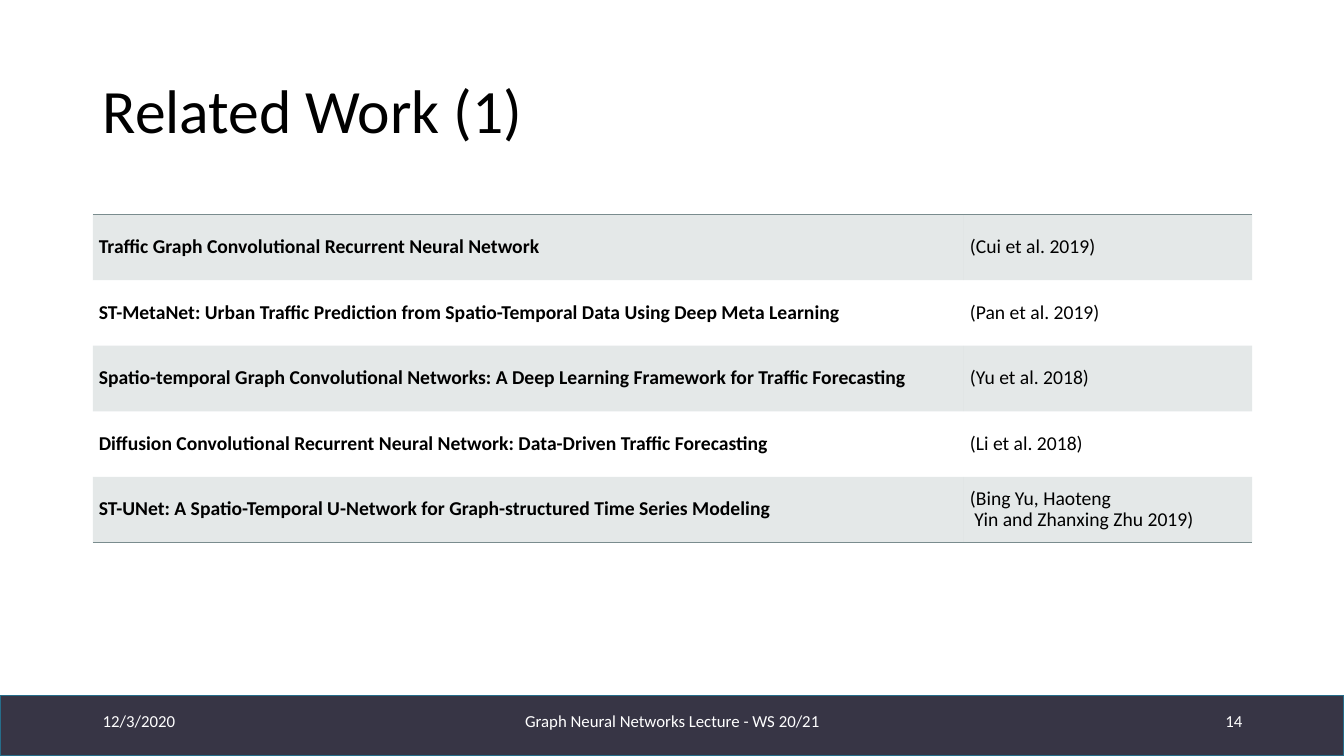
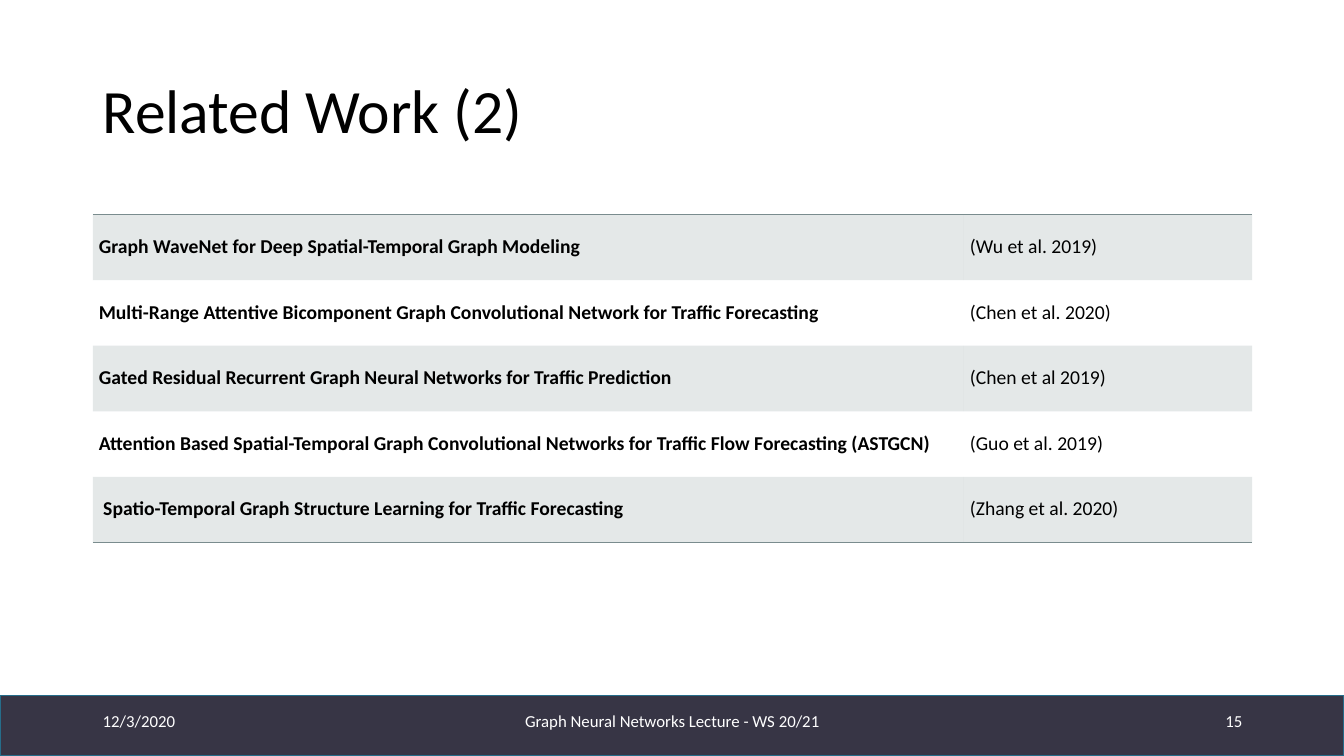
from lxml.etree import SubElement
from pptx import Presentation
from pptx.dml.color import RGBColor as RGB
from pptx.enum.shapes import MSO_SHAPE as Shape
from pptx.enum.text import MSO_ANCHOR as Anchor, PP_ALIGN as Align
from pptx.oxml import parse_xml
from pptx.oxml.ns import nsdecls, qn
from pptx.util import Inches, Pt

THEME = {
    "font": "Calibri",
    "text": RGB.from_string("000000"),
    "light": RGB.from_string("FFFFFF"),
    "band": RGB.from_string("373545"),
    "edge": RGB.from_string("266D8A"),
    "grid": "7A8C8E",
    "title": Pt(44),
    "body": Pt(14),
    "foot": Pt(12),
}
PLAIN = "{2D5ABB26-0587-4C30-8999-92F81FD0307C}"  # table style without grid

LEFT, WIDTH = 0.92, 11.5
COLS = [8.64, 2.86]
ROW = 0.65
FOOT = [
    (LEFT, 3, Align.LEFT, "12/3/2020"),
    (4.42, 4.5, Align.CENTER, "Graph Neural Networks Lecture - WS 20/21"),
    (9.42, 3, Align.RIGHT, "{page}"),
]
SLIDES = [
    (14, "Related Work (1)", [
        ("Traffic Graph Convolutional Recurrent Neural Network",
         "(Cui et al. 2019)"),
        ("ST-MetaNet: Urban Traffic Prediction from Spatio-Temporal Data "
         "Using Deep Meta Learning", "(Pan et al. 2019)"),
        ("Spatio-temporal Graph Convolutional Networks: A Deep Learning "
         "Framework for Traffic Forecasting", "(Yu et al. 2018)"),
        ("Diffusion Convolutional Recurrent Neural Network: Data-Driven "
         "Traffic Forecasting", "(Li et al. 2018)"),
        ("ST-UNet: A Spatio-Temporal U-Network for Graph-structured Time "
         "Series Modeling",
         "(Bing Yu, Haoteng\n Yin and Zhanxing Zhu 2019)"),
    ]),
    (15, "Related Work (2)", [
        ("Graph WaveNet for Deep Spatial-Temporal Graph Modeling",
         "(Wu et al. 2019)"),
        ("Multi-Range Attentive Bicomponent Graph Convolutional Network for "
         "Traffic Forecasting", "(Chen et al. 2020)"),
        ("Gated Residual Recurrent Graph Neural Networks for Traffic "
         "Prediction", "(Chen et al 2019)"),
        ("Attention Based Spatial-Temporal Graph Convolutional Networks for "
         "Traffic Flow Forecasting (ASTGCN)", "(Guo et al. 2019)"),
        (" Spatio-Temporal Graph Structure Learning for Traffic Forecasting",
         "(Zhang et al. 2020)"),
    ]),
]


def write(frame, text, size, color, align=Align.LEFT, space=1.0, bold=False):
    """Fill a text frame, one paragraph per line, in one format."""
    frame.text = text
    frame.word_wrap = True
    frame.vertical_anchor = Anchor.MIDDLE
    look = {"name": THEME["font"], "size": THEME[size], "bold": bold}
    for para in frame.paragraphs:
        para.alignment = align
        para.line_spacing = space
        for run in para.runs:
            for key, value in look.items():
                setattr(run.font, key, value)
            run.font.color.rgb = THEME[color]


def rule(cell, side):
    """Draw a thin line on one side of a cell: T or B."""
    cell._tc.get_or_add_tcPr().insert(0, parse_xml(
        f'<a:ln{side} {nsdecls("a")} w="12700"><a:solidFill>'
        f'<a:srgbClr val="{THEME["grid"]}"/></a:solidFill></a:ln{side}>'))


deck = Presentation()
deck.slide_width, deck.slide_height = Inches(13.33), Inches(7.5)

for page, title, works in SLIDES:
    slide = deck.slides.add_slide(deck.slide_layouts[6])
    shapes = slide.shapes

    band = shapes.add_shape(Shape.RECTANGLE, 0, Inches(6.9),
                            deck.slide_width, Inches(0.6))
    band.shadow.inherit = False
    band.fill.solid()
    band.fill.fore_color.rgb = THEME["band"]
    band.line.color.rgb = THEME["edge"]
    band.line.width = Pt(1)

    box = shapes.add_textbox(Inches(LEFT), Inches(0.4),
                             Inches(WIDTH), Inches(1.45))
    write(box.text_frame, title, "title", "text", space=0.9)

    for left, width, align, text in FOOT:
        box = shapes.add_textbox(Inches(left), Inches(6.95),
                                 Inches(width), Inches(0.4))
        write(box.text_frame, text.format(page=page), "foot", "light", align)

    table = shapes.add_table(len(works), len(COLS), Inches(LEFT), Inches(2.13),
                             Inches(WIDTH), Inches(ROW * len(works))).table
    table.first_row = table.horz_banding = False
    table._tbl.tblPr.find(qn("a:tableStyleId")).text = PLAIN
    for col, width in zip(table.columns, COLS):
        col.width = Inches(width)

    for r, work in enumerate(works):
        table.rows[r].height = Inches(ROW)
        for c, text in enumerate(work):
            cell = table.cell(r, c)
            cell.margin_left = cell.margin_right = Inches(0.06)
            cell.margin_top = cell.margin_bottom = 0
            cell.vertical_anchor = Anchor.MIDDLE
            write(cell.text_frame, text, "body", "text", space=0.9,
                  bold=c == 0)
            if r % 2:
                cell.fill.background()
            else:
                cell.fill.solid()
                cell.fill.fore_color.rgb = RGB.from_string(THEME["grid"])
                tint = cell._tc.tcPr.find(
                    f'{qn("a:solidFill")}/{qn("a:srgbClr")}')
                SubElement(tint, qn("a:alpha"), val="20000")
            if r == 0:
                rule(cell, "T")
            if r == len(works) - 1:
                rule(cell, "B")

deck.save("out.pptx")
